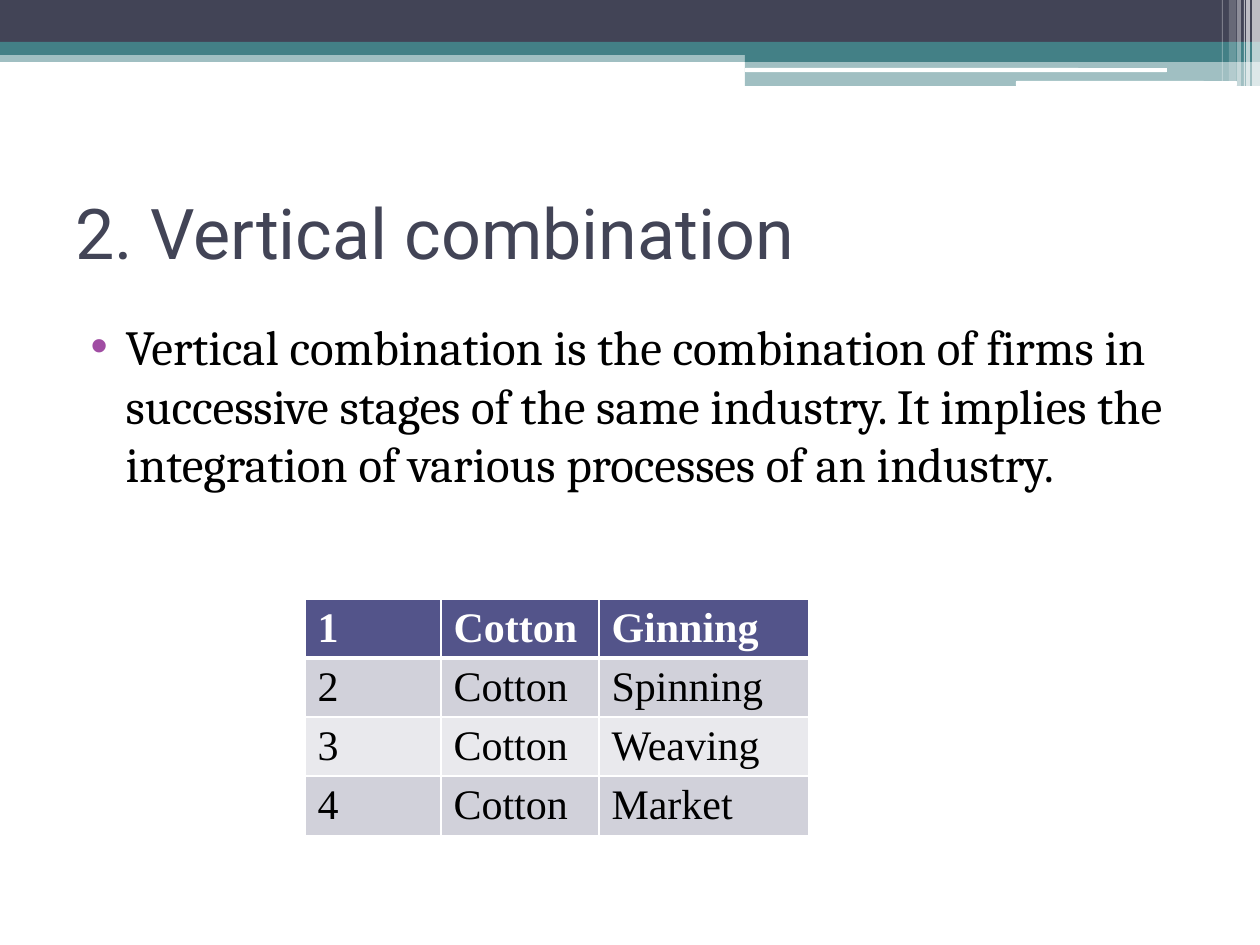
from lxml.etree import SubElement
from pptx import Presentation
from pptx.dml.color import RGBColor
from pptx.enum.shapes import MSO_SHAPE
from pptx.enum.text import MSO_ANCHOR, MSO_AUTO_SIZE, PP_ALIGN
from pptx.oxml.ns import qn
from pptx.util import Emu, Pt

SLATE, TEAL, WHITE, BLACK = "424456", "438086", "FFFFFF", "000000"
HEADER, BAND_DARK, BAND_LIGHT = "53548A", "D1D1DA", "E9E9ED"
BULLET = "A04DA3"

# left, top, width, height, colour, opacity in percent
BANDS = [
    (0, 50, 1260, 12, TEAL, 50),
    (0, 0, 1260, 43, SLATE, 100),
    (0, 42, 1260, 13, TEAL, 100),
    (745, 49, 515, 13, TEAL, 100),
    (745, 61, 515, 25, TEAL, 50),
]
RULES = [(745, 68, 422, 4, WHITE, 100), (1016, 81, 221, 5, WHITE, 100)]
STRIPES = [
    (1252, 0, 8, 86, WHITE, 65),
    (1246, 0, 4, 86, WHITE, 65),
    (1244, 0, 1, 86, WHITE, 60),
    (1237, 0, 4, 86, WHITE, 40),
    (1229, 0, 7, 81, WHITE, 20),
    (1222, 0, 1, 81, WHITE, 30),
]
STAGES = ["Ginning", "Spinning", "Weaving", "Market"]


def px(length):
    return Emu(round(length * 914400 / 126))


def rgb(colour):
    return RGBColor.from_string(colour)


def set_font(paragraph, name, size, colour, bold=False):
    font = paragraph.font
    font.name, font.size, font.bold = name, Pt(size), bold
    font.color.rgb = rgb(colour)


def place(shape, box):
    shape.left, shape.top, shape.width, shape.height = map(px, box)


def add_header(slide, box):
    left, top = box
    parts = [(MSO_SHAPE.RECTANGLE, part) for part in BANDS]
    parts += [(MSO_SHAPE.ROUNDED_RECTANGLE, part) for part in RULES]
    parts += [(MSO_SHAPE.RECTANGLE, part) for part in STRIPES]
    for kind, (x, y, width, height, colour, opacity) in parts:
        bar = slide.shapes.add_shape(
            kind, px(left + x), px(top + y), px(width), px(height))
        bar.shadow.inherit = False
        bar.line.fill.background()
        bar.fill.solid()
        bar.fill.fore_color.rgb = rgb(colour)
        if opacity < 100:
            fill_colour = bar.fill._xPr.find(".//" + qn("a:srgbClr"))
            SubElement(fill_colour, qn("a:alpha"), val=str(opacity * 1000))


def fill_title(title, box, text):
    place(title, box)
    frame = title.text_frame
    frame.text = text
    frame.auto_size = MSO_AUTO_SIZE.NONE
    frame.vertical_anchor = MSO_ANCHOR.MIDDLE
    heading = frame.paragraphs[0]
    heading.alignment = PP_ALIGN.LEFT
    set_font(heading, "Roboto", 40, SLATE)


def fill_body(body, box, text):
    place(body, box)
    frame = body.text_frame
    frame.text = text
    frame.auto_size = MSO_AUTO_SIZE.NONE
    definition = frame.paragraphs[0]
    definition.space_before = Pt(0)
    # Coloured bullet with a hanging indent
    properties = definition._p.get_or_add_pPr()
    properties.set("marL", str(px(50)))
    properties.set("indent", str(-px(35)))
    bullet_colour = SubElement(properties, qn("a:buClr"))
    SubElement(bullet_colour, qn("a:srgbClr"), val=BULLET)
    SubElement(properties, qn("a:buFont"), typeface="Arial")
    SubElement(properties, qn("a:buChar"), char="•")
    set_font(definition, "Cambria", 28, BLACK)


def set_borders(cell, widths):
    properties = cell._tc.get_or_add_tcPr()
    for side, width in widths.items():
        line = SubElement(properties, qn("a:ln" + side), w=str(Pt(width)))
        fill = SubElement(line, qn("a:solidFill"))
        SubElement(fill, qn("a:srgbClr"), val=WHITE)


def add_stages_table(slide, box, column_widths):
    left, top, width, height = map(px, box)
    table = slide.shapes.add_table(
        len(STAGES), len(column_widths), left, top, width, height).table
    for column, column_width in zip(table.columns, column_widths):
        column.width = px(column_width)
    for row, stage in enumerate(STAGES):
        is_header = row == 0
        band = HEADER if is_header else BAND_DARK if row % 2 else BAND_LIGHT
        for column, text in enumerate([str(row + 1), "Cotton", stage]):
            cell = table.cell(row, column)
            cell.text = text
            set_borders(cell, {"L": 1, "R": 1, "T": 3 if row == 1 else 1,
                               "B": 3 if is_header else 1})
            cell.fill.solid()
            cell.fill.fore_color.rgb = rgb(band)
            set_font(cell.text_frame.paragraphs[0], "Times New Roman", 24,
                     WHITE if is_header else BLACK, is_header)


def main():
    deck = Presentation()
    deck.slide_width, deck.slide_height = px(1260), px(945)
    slide = deck.slides.add_slide(deck.slide_layouts[1])
    add_header(slide, (0, 0))
    fill_title(slide.shapes.title, (63, 158, 1134, 147),
               "2. Vertical combination")
    fill_body(slide.placeholders[1], (63, 310, 1134, 596),
              "Vertical combination is the combination of firms in successive "
              "stages of the same industry. It implies the integration of "
              "various processes of an industry.")
    add_stages_table(slide, (305, 599, 504, 236), [136, 158, 210])
    deck.save("out.pptx")


if __name__ == "__main__":
    main()
